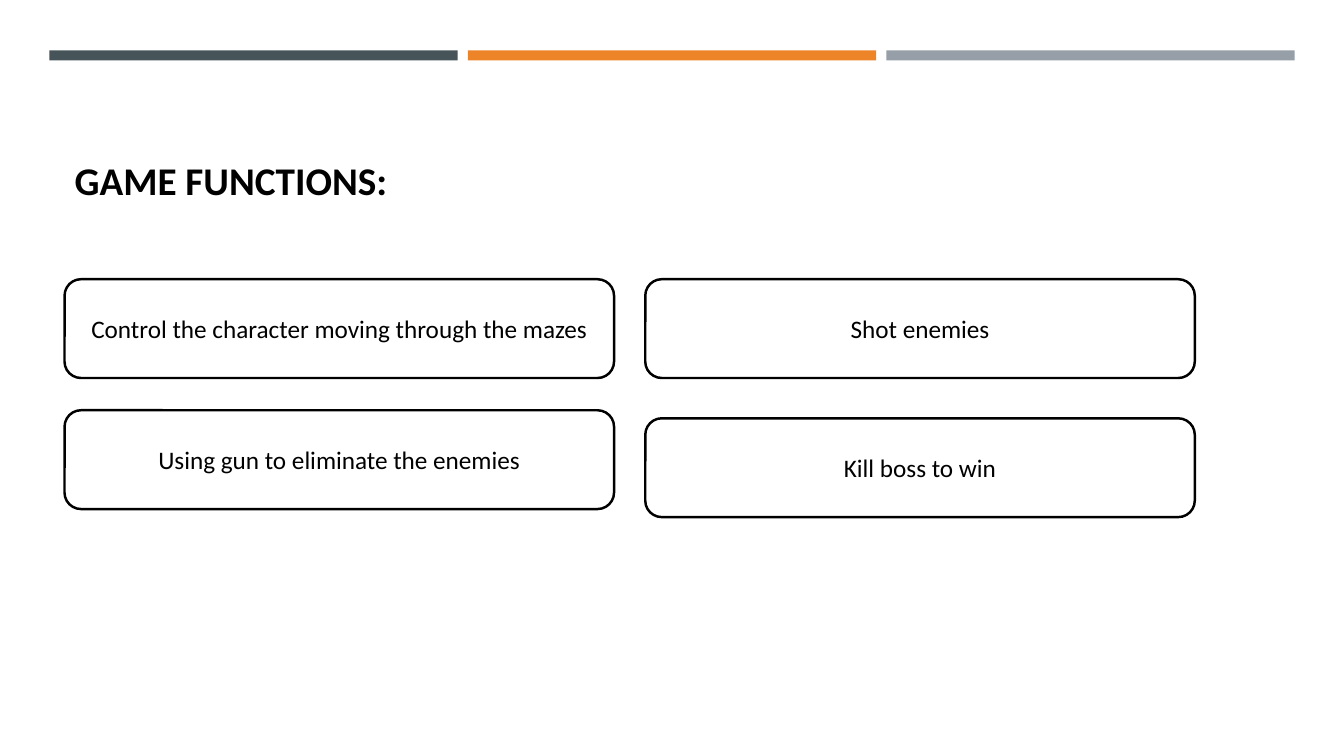
from pptx import Presentation
from pptx.dml.color import RGBColor
from pptx.enum.shapes import MSO_SHAPE
from pptx.enum.text import MSO_ANCHOR, MSO_AUTO_SIZE, PP_ALIGN
from pptx.util import Pt

RECT, ROUND = MSO_SHAPE.RECTANGLE, MSO_SHAPE.ROUNDED_RECTANGLE
LEFT, CENTER = PP_ALIGN.LEFT, PP_ALIGN.CENTER
MIDDLE, BOTTOM = MSO_ANCHOR.MIDDLE, MSO_ANCHOR.BOTTOM
NO_FIT = MSO_AUTO_SIZE.NONE
TITLE_ONLY = 5
SCALE = 9144  # EMU per px, 100 px to the inch

COLORS = {"slate": "465359", "orange": "ED8428", "gray": "969FA7",
          "ink": "000000", "paper": "FFFFFF"}


def color(name):
    return RGBColor.from_string(COLORS[name])


class Deck:
    font = "Calibri"

    def __init__(self, width, height):
        self.prs = Presentation()
        self.prs.slide_width = width * SCALE
        self.prs.slide_height = height * SCALE
        self.slide = self.prs.slides.add_slide(self.prs.slide_layouts[TITLE_ONLY])

    def label(self, shape, text, size, bold, align, anchor):
        frame = shape.text_frame
        frame.text = text
        look = {"word_wrap": True, "auto_size": NO_FIT, "vertical_anchor": anchor}
        for key, value in look.items():
            setattr(frame, key, value)
        par = frame.paragraphs[0]
        par.alignment = align
        font = par.runs[0].font
        for key, value in {"name": self.font, "size": Pt(size), "bold": bold}.items():
            setattr(font, key, value)
        font.color.rgb = color("ink")
        return par

    def title(self, text, left, top, width, height):
        shape = self.slide.shapes.title
        place = {"left": left, "top": top, "width": width, "height": height}
        for key, value in place.items():
            setattr(shape, key, value * SCALE)
        par = self.label(shape, text, 28, True, LEFT, BOTTOM)
        par.line_spacing = 0.9

    def shape(self, kind, fill, *place):
        shape = self.slide.shapes.add_shape(kind, *(n * SCALE for n in place))
        shape.shadow.inherit = False
        shape.fill.solid()
        shape.fill.fore_color.rgb = color(fill)
        return shape

    def bar(self, fill, *place):
        self.shape(RECT, fill, *place).line.fill.background()

    def card(self, text, *place):
        shape = self.shape(ROUND, "paper", *place)
        shape.line.color.rgb = color("ink")
        shape.line.width = Pt(1.75)
        self.label(shape, text, 18, False, CENTER, MIDDLE)


def main():
    deck = Deck(1333, 750)
    for col, fill in enumerate(("slate", "orange", "gray")):
        deck.bar(fill, 49 + 415 * col, 50, 405, 10)
    deck.title("GAME FUNCTIONS:", 64, 77, 1206, 130)

    columns = (
        (64, 130, ("Control the character moving through the mazes",
                   "Using gun to eliminate the enemies")),
        (640, 138, ("Shot enemies", "Kill boss to win")),
    )
    for left, step, texts in columns:
        for row, text in enumerate(texts):
            deck.card(text, left, 277 + step * row, 545, 98)
    deck.prs.save("out.pptx")


if __name__ == "__main__":
    main()
